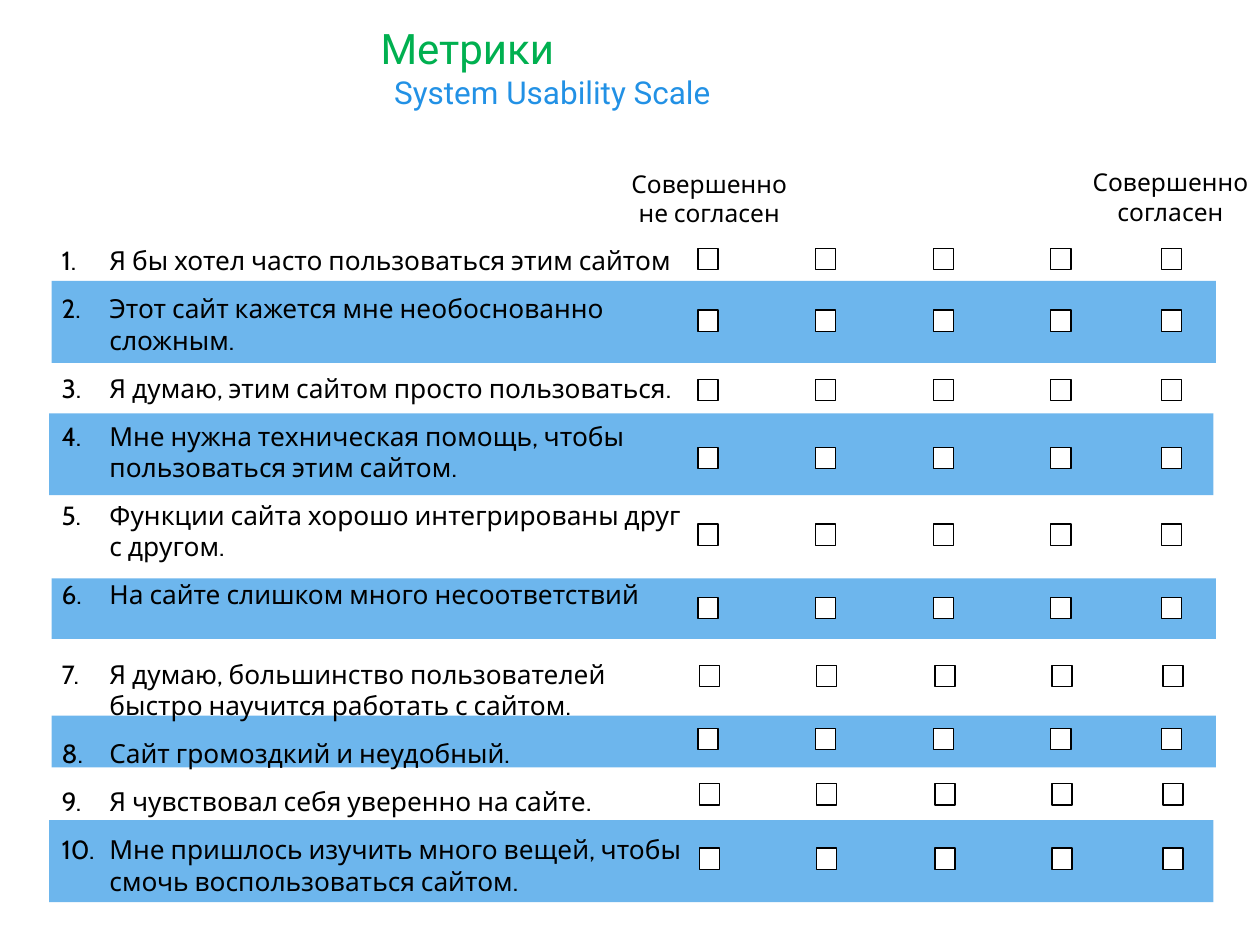
"""Build a System Usability Scale questionnaire slide."""
from typing import NamedTuple

from lxml.etree import SubElement
from pptx import Presentation
from pptx.dml.color import RGBColor
from pptx.enum.shapes import MSO_SHAPE as Shape
from pptx.enum.text import MSO_ANCHOR as Anchor, MSO_AUTO_SIZE as AutoSize, PP_ALIGN as Align
from pptx.oxml.ns import qn
from pptx.util import Inches, Pt

COLORS = {"title": "00B050", "accent": "2291E5", "ink": "000000", "paper": "FFFFFF"}
BOX_OFFSETS = (0, 0.93, 1.87, 2.8, 3.68)
BOX_WIDTH, BOX_HEIGHT = 0.16, 0.17
BAND_WIDTH = 9.24
LIST_INDENT = 0.38


class Band(NamedTuple):
    left: float
    top: float
    height: float


class Question(NamedTuple):
    text: str
    box_top: float
    box_left: float = 5.54
    gap_after: float = 0


class Label(NamedTuple):
    text: str
    left: float
    top: float
    width: float
    height: float
    size: float
    font: str
    color: str
    align: Align
    wrap: bool


BANDS = (
    Band(0.41, 2.23, 0.65),
    Band(0.39, 3.28, 0.65),
    Band(0.41, 4.59, 0.48),
    Band(0.41, 5.68, 0.41),
    Band(0.39, 6.51, 0.65),
)

QUESTIONS = (
    Question("Я бы хотел часто пользоваться этим сайтом", 1.97),
    Question("Этот сайт кажется мне необоснованно сложным.", 2.46),
    Question("Я думаю, этим сайтом просто пользоваться.", 3.01),
    Question("Мне нужна техническая помощь, чтобы пользоваться этим сайтом.", 3.55),
    Question("Функции сайта хорошо интегрированы друг с другом.", 4.16),
    Question("На сайте слишком много несоответствий", 4.74, gap_after=18),
    Question("Я думаю, большинство пользователей быстро научится работать с сайтом.", 5.28, 5.55),
    Question("Сайт громоздкий и неудобный.", 5.78),
    Question("Я чувствовал себя уверенно на сайте.", 6.22, 5.55),
    Question("Мне пришлось изучить много вещей, чтобы смочь воспользоваться сайтом.", 6.73, 5.55),
)

LABELS = (
    Label("System Usability Scale", 3.03, 0.53, 2.79, 0.4, 18, "Roboto", "accent", Align.LEFT, False),
    Label("Совершенно не согласен", 4.91, 1.29, 1.44, 0.57, 14, "Cabin", "ink", Align.CENTER, True),
    Label("Совершенно согласен", 8.57, 1.28, 1.44, 0.57, 14, "Cabin", "ink", Align.CENTER, True),
)


def rgb(name: str) -> RGBColor:
    """Return the named colour."""
    return RGBColor.from_string(COLORS[name])


def add_run(p, text: str, size: float, font: str, color: str) -> None:
    """Append a formatted run to a paragraph."""
    r = p.add_run()
    r.text = text
    r.font.size, r.font.name = Pt(size), font
    r.font.color.rgb = rgb(color)


def add_rect(shapes, left: float, top: float, width: float, height: float, color: str):
    """Add a filled rectangle without shadow."""
    sp = shapes.add_shape(Shape.RECTANGLE, Inches(left), Inches(top), Inches(width), Inches(height))
    sp.shadow.inherit = False
    sp.fill.solid()
    sp.fill.fore_color.rgb = rgb(color)
    return sp


def add_band(s, band: Band) -> None:
    """Add a translucent row band."""
    sp = add_rect(s.shapes, band.left, band.top, BAND_WIDTH, band.height, "accent")
    sp.line.fill.background()
    color = sp.fill._xPr.find(qn("a:solidFill")).find(qn("a:srgbClr"))
    SubElement(color, qn("a:alpha"), val="66000")


def add_title(s, text: str) -> None:
    """Place and format the title."""
    sp = s.shapes.title
    sp.left, sp.top, sp.width, sp.height = Inches(2.92), Inches(0.13), Inches(5.6), Inches(0.49)
    tf = sp.text_frame
    tf.auto_size, tf.vertical_anchor = AutoSize.NONE, Anchor.MIDDLE
    p = tf.paragraphs[0]
    p.alignment = Align.LEFT
    add_run(p, text, 24, "Roboto", "title")


def add_text_frame(s, left: float, top: float, width: float, height: float, wrap: bool):
    """Add a text box that grows with its text and return its frame."""
    sp = s.shapes.add_textbox(Inches(left), Inches(top), Inches(width), Inches(height))
    tf = sp.text_frame
    tf.word_wrap, tf.auto_size = wrap, AutoSize.SHAPE_TO_FIT_TEXT
    return tf


def add_label(s, label: Label) -> None:
    """Add a one-paragraph label."""
    tf = add_text_frame(s, label.left, label.top, label.width, label.height, label.wrap)
    p = tf.paragraphs[0]
    p.alignment = label.align
    add_run(p, label.text, label.size, label.font, label.color)


def number_paragraph(p) -> None:
    """Give a paragraph automatic numbering with a hanging indent."""
    pPr = p._p.get_or_add_pPr()
    pPr.set("marL", str(Inches(LIST_INDENT)))
    pPr.set("indent", str(-Inches(LIST_INDENT)))
    SubElement(SubElement(pPr, qn("a:buClr")), qn("a:srgbClr"), val=COLORS["ink"])
    SubElement(pPr, qn("a:buAutoNum"), type="arabicPeriod")


def add_questions(s, questions: tuple[Question, ...]) -> None:
    """Add the numbered list of statements."""
    tf = add_text_frame(s, 0.39, 1.89, 5.15, 5.28, True)
    for i, question in enumerate(questions):
        p = tf.add_paragraph() if i else tf.paragraphs[0]
        number_paragraph(p)
        p.space_before = Pt(9.4 if i else 0)
        p.space_after = Pt(question.gap_after)
        add_run(p, question.text, 15, "Cabin", "ink")


def add_checkboxes(s, question: Question) -> None:
    """Add the grouped answer boxes of one statement."""
    group = s.shapes.add_group_shape()
    for offset in BOX_OFFSETS:
        sp = add_rect(group.shapes, question.box_left + offset, question.box_top,
                      BOX_WIDTH, BOX_HEIGHT, "paper")
        sp.line.color.rgb = rgb("ink")
        sp.line.width = Pt(0.75)


def main() -> None:
    """Build and save the presentation."""
    prs = Presentation()
    prs.slide_width, prs.slide_height = Inches(10), Inches(7.5)
    s = prs.slides.add_slide(prs.slide_layouts[5])
    add_title(s, "Метрики")
    for band in BANDS:
        add_band(s, band)
    for label in LABELS:
        add_label(s, label)
    add_questions(s, QUESTIONS)
    for question in QUESTIONS:
        add_checkboxes(s, question)
    prs.save("out.pptx")


if __name__ == "__main__":
    main()
